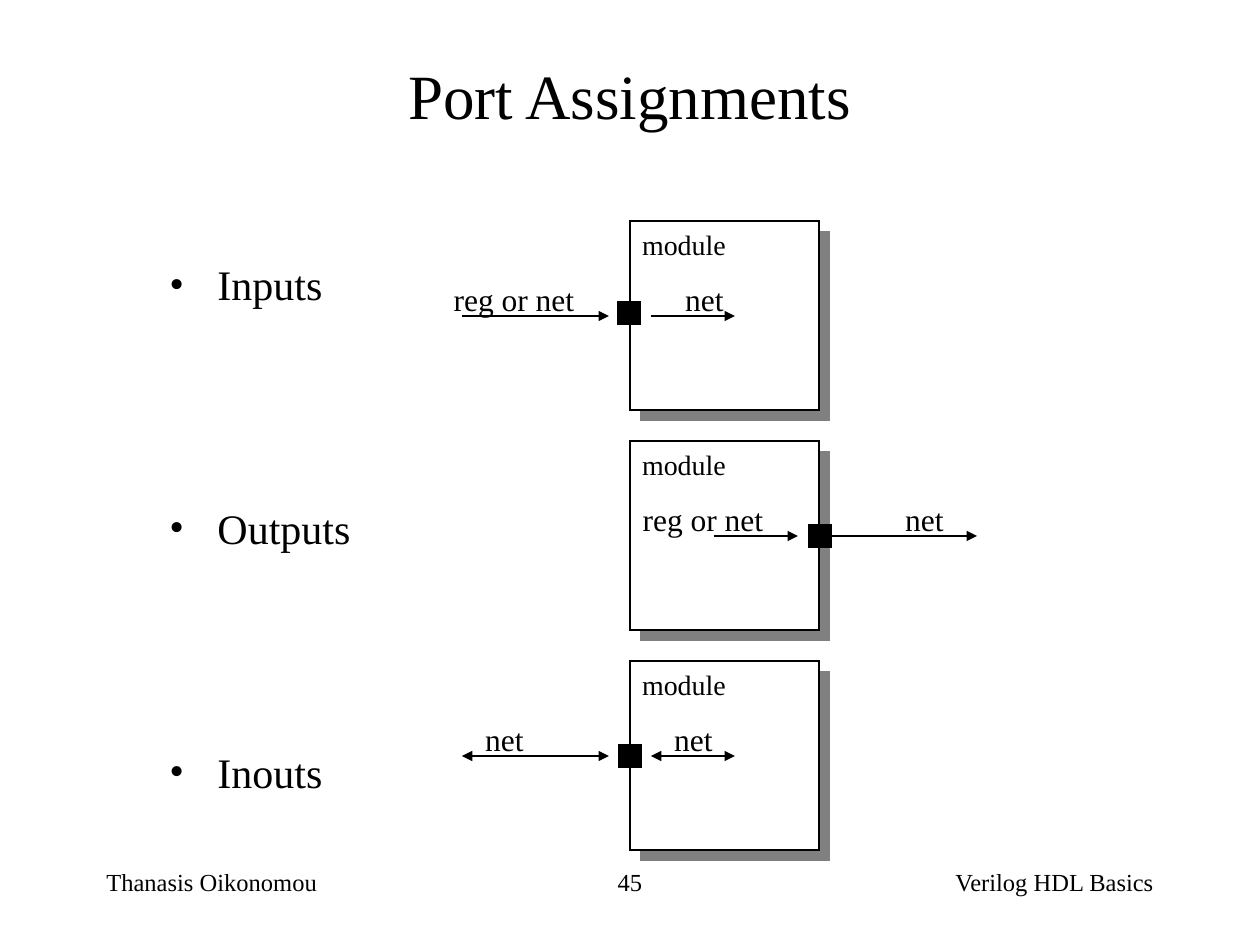
from lxml.etree import SubElement
from pptx import Presentation
from pptx.dml.color import RGBColor
from pptx.enum.shapes import MSO_CONNECTOR, MSO_SHAPE
from pptx.enum.text import MSO_ANCHOR, MSO_AUTO_SIZE, PP_ALIGN
from pptx.oxml.ns import qn
from pptx.util import Emu, Pt

PX_PER_INCH = 126
COLORS = {"ink": "000000", "paper": "FFFFFF", "shadow": "808080"}
FONT = "Times New Roman"
MODULE_LEFT, MODULE_TOP, MODULE_SIZE, MODULE_PITCH = 630, 221, 189, 220
PORT_SIZE = 22
LABEL_WIDTHS = {"net": 63, "reg or net": 146}

# Per module: port corner, arrows (start x, end x), labels (text, left)
MODULES = [
    {"port": (618, 302), "arrows": [(462, 609), (651, 735)],
     "labels": [("reg or net", 441), ("net", 673)], "both_ways": False},
    {"port": (809, 525), "arrows": [(831, 977), (714, 798)],
     "labels": [("reg or net", 630), ("net", 893)], "both_ways": False},
    {"port": (619, 745), "arrows": [(462, 609), (651, 735)],
     "labels": [("net", 473), ("net", 662)], "both_ways": True},
]


def px(length):
    return Emu(round(length * 914400 / PX_PER_INCH))


def color(name):
    return RGBColor.from_string(COLORS[name])


def style_paragraph(paragraph, size):
    paragraph.font.name = FONT
    paragraph.font.size = Pt(size)
    paragraph.font.color.rgb = color("ink")


def add_text(shapes, text, box, size, align=PP_ALIGN.LEFT,
             anchor=MSO_ANCHOR.TOP):
    shape = shapes.add_textbox(*map(px, box))
    frame = shape.text_frame
    frame.word_wrap = True
    frame.vertical_anchor = anchor
    frame.text = text
    frame.paragraphs[0].alignment = align
    style_paragraph(frame.paragraphs[0], size)
    return frame


def add_label(shapes, text, box, size):
    frame = add_text(shapes, text, box, size, PP_ALIGN.CENTER,
                     MSO_ANCHOR.MIDDLE)
    frame.margin_left = frame.margin_right = px(5)
    frame.word_wrap = False
    frame.auto_size = MSO_AUTO_SIZE.SHAPE_TO_FIT_TEXT


def add_square(shapes, left, top, size, fill):
    shape = shapes.add_shape(MSO_SHAPE.RECTANGLE,
                             px(left), px(top), px(size), px(size))
    shape.shadow.inherit = False
    shape.fill.solid()
    shape.fill.fore_color.rgb = color(fill)
    shape.line.color.rgb = color("ink")
    shape.line.width = Pt(0.75)
    SubElement(shape.line._get_or_add_ln(), qn("a:miter"), lim="800000")
    return shape


def add_hard_shadow(shape):
    effects = shape._element.spPr.find(qn("a:effectLst"))
    shadow = SubElement(effects, qn("a:outerShdw"), dist=str(Pt(8.5)),
                        dir="2700000", algn="ctr", rotWithShape="0")
    SubElement(shadow, qn("a:srgbClr"), val=COLORS["shadow"])


def add_arrow(shapes, start, end, y, both_ways):
    arrow = shapes.add_connector(MSO_CONNECTOR.STRAIGHT,
                                 px(start), px(y), px(end), px(y))
    arrow.line.color.rgb = color("ink")
    arrow.line.width = Pt(0.75)
    line = arrow.line._get_or_add_ln()
    for end_name in ("headEnd", "tailEnd") if both_ways else ("tailEnd",):
        SubElement(line, qn(f"a:{end_name}"), type="triangle")
    SubElement(arrow._element.spPr, qn("a:effectLst"))
    return arrow


def add_module(slide, top, module):
    shapes = slide.shapes.add_group_shape().shapes
    box = add_square(shapes, MODULE_LEFT, top, MODULE_SIZE, "paper")
    add_hard_shadow(box)
    add_label(shapes, "module", (MODULE_LEFT, top, 108, 47), 16)
    port_left, port_top = module["port"]
    port = add_square(shapes, port_left, port_top, PORT_SIZE, "ink")
    for start, end in module["arrows"]:
        arrow = add_arrow(shapes, start, end, top + 95, module["both_ways"])
        if start == port_left + PORT_SIZE:
            arrow.begin_connect(port, 3)
    for text, left in module["labels"]:
        add_label(shapes, text, (left, top + 53, LABEL_WIDTHS[text], 50), 18)


def add_bullets(slide, items):
    frame = add_text(slide.shapes, "\n".join(items), (157, 252, 525, 567), 24)
    frame.margin_top = px(7)
    for index, paragraph in enumerate(frame.paragraphs):
        properties = paragraph._p.get_or_add_pPr()
        properties.set("marL", str(px(48)))
        properties.set("indent", str(-px(48)))
        if index:
            paragraph.space_before = Pt(110.4)
        SubElement(properties, qn("a:buFont"), typeface=FONT)
        SubElement(properties, qn("a:buChar"), char="•")
        style_paragraph(paragraph, 24)


def main():
    presentation = Presentation()
    presentation.slide_width = px(1260)
    presentation.slide_height = px(945)
    slide = presentation.slides.add_slide(presentation.slide_layouts[6])

    # Footer
    for text, left, width, align in [
            ("Thanasis Oikonomou", 94, 263, PP_ALIGN.LEFT),
            ("Verilog HDL Basics", 766, 400, PP_ALIGN.RIGHT),
            ("45", 499, 262, PP_ALIGN.CENTER)]:
        add_text(slide.shapes, text, (left, 861, width, 63), 14, align)

    # Title
    add_text(slide.shapes, "Port Assignments", (94, 52, 1071, 84), 36,
             PP_ALIGN.CENTER, MSO_ANCHOR.MIDDLE)

    # Module diagrams and their port kinds
    for index, module in enumerate(MODULES):
        add_module(slide, MODULE_TOP + index * MODULE_PITCH, module)
    add_bullets(slide, ["Inputs", "Outputs", "Inouts"])

    presentation.save("out.pptx")


if __name__ == "__main__":
    main()
